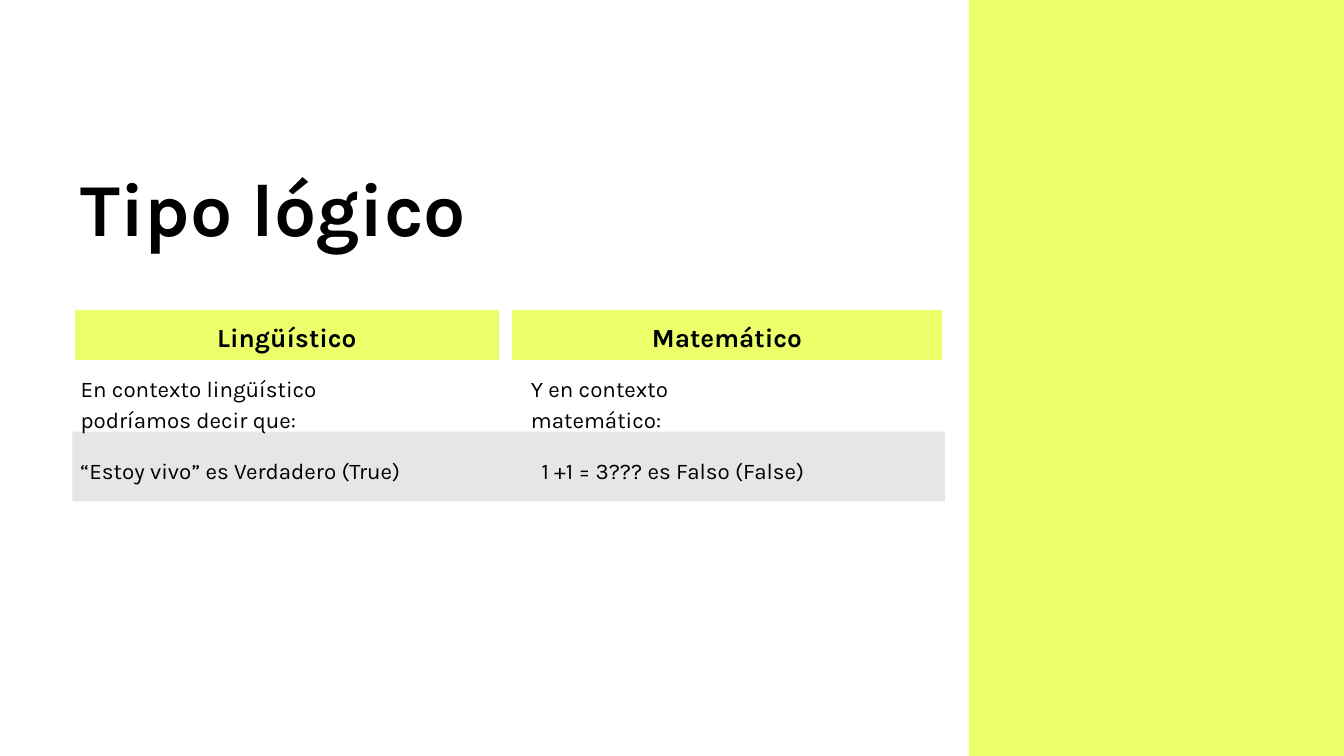
from lxml import etree
from pptx import Presentation
from pptx.dml import color as col
from pptx.enum import shapes as shp, text as txt
from pptx.oxml import ns
from pptx.util import Pt

HUES = {"lime": "EAFF6A", "grey": "E7E6E6", "white": "FFFFFF", "ink": "000000"}
HEAD = {"size": Pt(14), "bold": True}
BODY = {"size": Pt(12), "bold": False}
TITLE = {"size": Pt(40), "bold": True}
COLUMNS = [
    {"x": 39, "w": 229.5, "ids": (1, 2), "head": "Lingüístico",
     "intro": "En contexto lingüístico podríamos decir que:", "in_x": -3,
     "case": "“Estoy vivo” es Verdadero (True)", "case_x": -3},
    {"x": 273, "w": 233, "ids": (3, 4), "head": "Matemático",
     "intro": "Y en contexto matemático:", "in_x": 4.2,
     "case": "1 +1 = 3??? es Falso (False)", "case_x": 10},
]


def hue(name):
    return col.RGBColor.from_string(HUES[name])


def place(item, box):
    for name, size in zip(("left", "top", "width", "height"), box):
        setattr(item, name, Pt(size))


def paint(item, fill):
    item.fill.solid()
    item.fill.fore_color.rgb = hue(fill)


def block(slide, fill, box):
    item = slide.shapes.add_shape(shp.MSO_SHAPE.RECTANGLE, *map(Pt, box))
    paint(item, fill)
    item.line.fill.background()
    item.shadow.inherit = False
    return item


def write(item, words, form, lead=1.0, align=txt.PP_ALIGN.LEFT,
          anchor=txt.MSO_ANCHOR.TOP):
    frame = item.text_frame
    frame.text = words
    frame.word_wrap = True
    frame.auto_size = txt.MSO_AUTO_SIZE.NONE
    frame.vertical_anchor = anchor
    for side in ("left", "top", "right", "bottom"):
        setattr(frame, f"margin_{side}", Pt(7.2))
    para = frame.paragraphs[0]
    props = para._p.get_or_add_pPr()
    props.set("marL", "0")
    props.set("indent", "0")
    etree.SubElement(props, ns.qn("a:buNone"))
    for name, value in {"alignment": align, "line_spacing": lead,
                        "space_before": Pt(0)}.items():
        setattr(para, name, value)
    font = para.runs[0].font
    for name, value in {"name": "Karla", **form}.items():
        setattr(font, name, value)
    font.color.rgb = hue("ink")


def column(slide, data, box):
    x, y, w = box
    head, intro = (slide.placeholders[i] for i in data["ids"])
    place(head, (x, y, w, 29))
    paint(head, "lime")
    head.line.color.rgb = hue("white")
    head.line.width = Pt(2.25)
    write(head, data["head"], HEAD, align=txt.PP_ALIGN.CENTER)
    place(intro, (x + data["in_x"], y + 26.6, 152, 33))
    write(intro, data["intro"], BODY, 1.15)
    case = slide.shapes.add_textbox(
        *map(Pt, (x + data["case_x"], y + 70.6, w - 10, 33)))
    write(case, data["case"], BODY, 1.15)


def table(slide, box):
    x, y, w, h = box
    band = block(slide, "grey", (x, y + 66.3, w, h - 66.3))
    band.element.getparent().insert(2, band.element)
    for data in COLUMNS:
        column(slide, data, (data["x"], y, data["w"]))


def heading(slide, box):
    title = slide.shapes.title
    place(title, box)
    write(title, "Tipo lógico", TITLE, 0.9, anchor=txt.MSO_ANCHOR.BOTTOM)


def main():
    deck = Presentation()
    deck.slide_width, deck.slide_height = Pt(720), Pt(405)
    slide = deck.slides.add_slide(deck.slide_layouts[4])
    block(slide, "lime", (519, 0, 201, 405))
    heading(slide, (36, 84.2, 372, 58.3))
    table(slide, (38.8, 165, 467.4, 103.6))
    deck.save("out.pptx")


if __name__ == "__main__":
    main()
